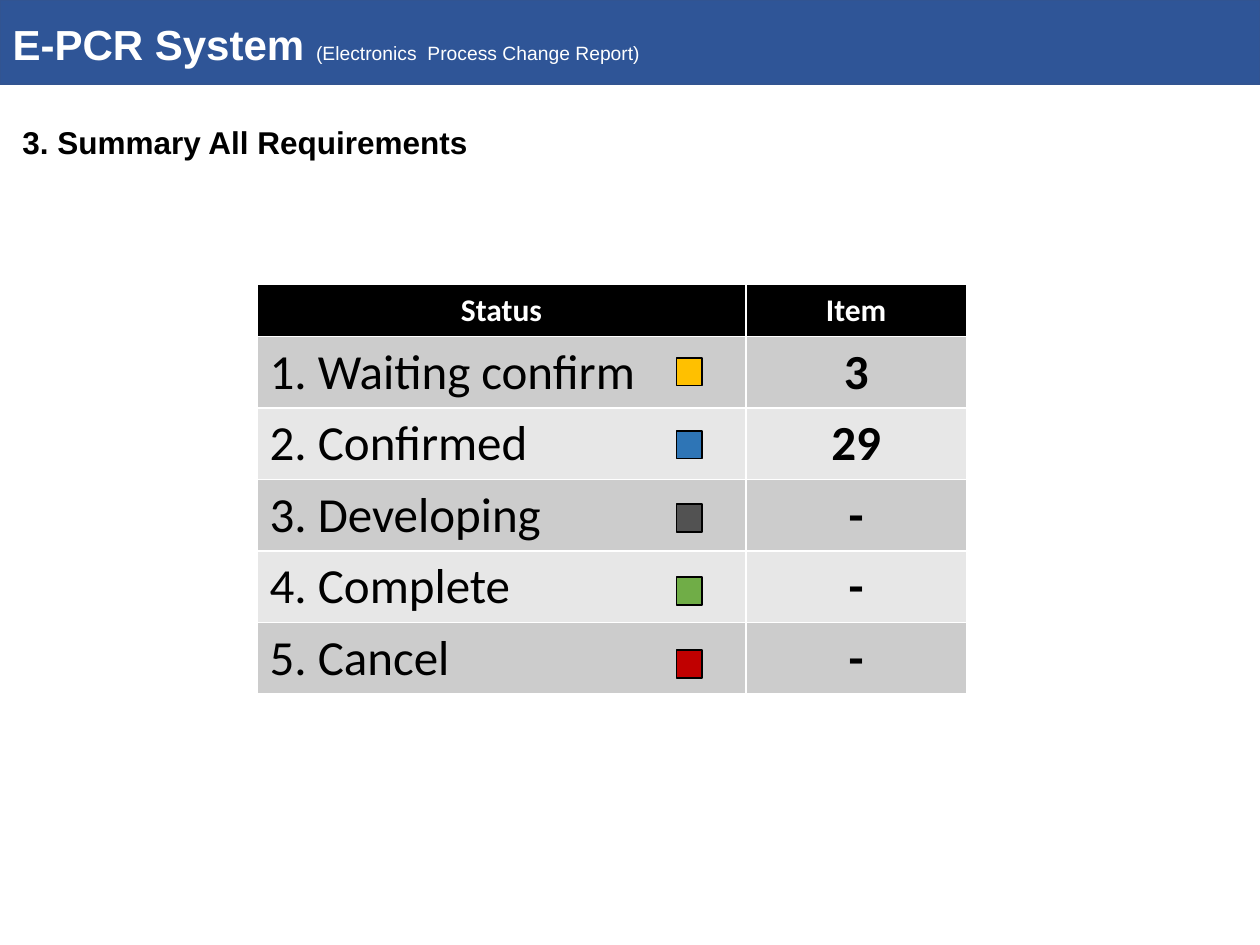
from dataclasses import dataclass
from typing import Any

from pptx import Presentation
from pptx.dml.color import RGBColor as Color
from pptx.enum.shapes import MSO_SHAPE as Shape
from pptx.enum.text import MSO_ANCHOR as Anchor, MSO_AUTO_SIZE as AutoSize, PP_ALIGN as Align
from pptx.util import Inches, Pt

GRID_COLUMNS, GRID_ROWS = 100, 75
SLIDE_WIDTH, SLIDE_HEIGHT = Inches(10), Inches(7.5)
TITLE_ONLY = 5


@dataclass(frozen=True)
class Theme:
    heading_font: str = "Arial"
    table_font: str = "Calibri"
    ink: str = "000000"
    paper: str = "FFFFFF"
    banner: str = "2F5597"
    banner_line: str = "325491"
    bands: tuple[str, str] = ("CCCCCC", "E7E7E7")
    title_size: int = 24
    subtitle_size: int = 11
    heading_size: int = 18
    body_size: int = 28


@dataclass(frozen=True)
class Area:
    column: float
    row: float
    columns: float
    rows: float

    def lengths(self) -> tuple[int, int, int, int]:
        return across(self.column), down(self.row), across(self.columns), down(self.rows)


@dataclass(frozen=True)
class Status:
    label: str
    items: str
    color: str


THEME = Theme()
BANNER = Area(0, 0, 100, 6.7)
TITLE = Area(0, 1, 70.9, 5)
HEADING = Area(0.8, 9.3, 37.7, 4)
TABLE = Area(20.4, 22.6, 56.3, 32.4)
TABLE_COLUMNS = (38.8, 17.5)
HEADER_ROWS, STATUS_ROWS = 4.1, 5.66
SWATCH = Area(53.7, 28.4, 2, 2.2)
SWATCH_STEP = 5.8
STATUSES = (
    Status("1. Waiting confirm", "3", "FFC000"),
    Status("2. Confirmed", "29", "2E75B6"),
    Status("3. Developing", "-", "525252"),
    Status("4. Complete", "-", "70AD47"),
    Status("5. Cancel", "-", "C00000"),
)


def across(columns: float) -> int:
    return round(SLIDE_WIDTH * columns / GRID_COLUMNS)


def down(rows: float) -> int:
    return round(SLIDE_HEIGHT * rows / GRID_ROWS)


def apply(target: Any, values: dict[str, Any]) -> None:
    for name, value in values.items():
        setattr(target, name, value)


def place(shape: Any, area: Area) -> None:
    apply(shape, dict(zip(("left", "top", "width", "height"), area.lengths())))


def add_span(para: Any, text: str, font: str, size: int, color: str, bold: bool) -> None:
    span = para.add_run()
    span.text = text
    apply(span.font, {"name": font, "size": Pt(size), "bold": bold})
    span.font.color.rgb = Color.from_string(color)


def add_box(page: Any, area: Area, fill: str, line: str) -> None:
    box = page.shapes.add_shape(Shape.RECTANGLE, *area.lengths())
    box.shadow.inherit = False
    box.fill.solid()
    box.fill.fore_color.rgb = Color.from_string(fill)
    box.line.color.rgb = Color.from_string(line)
    box.line.width = Pt(1)


def add_banner(page: Any) -> None:
    add_box(page, BANNER, THEME.banner, THEME.banner_line)
    title = page.shapes.title
    place(title, TITLE)
    page.shapes._spTree.append(title._element)
    apply(title.text_frame, {
        "word_wrap": True, "auto_size": AutoSize.NONE, "vertical_anchor": Anchor.TOP,
    })
    para = title.text_frame.paragraphs[0]
    para.alignment = Align.LEFT
    add_span(para, "E-PCR System ", THEME.heading_font, THEME.title_size, THEME.paper, True)
    add_span(para, "(Electronics  Process Change Report)",
             THEME.heading_font, THEME.subtitle_size, THEME.paper, False)


def add_heading(page: Any) -> None:
    box = page.shapes.add_textbox(*HEADING.lengths())
    apply(box.text_frame, {"word_wrap": False, "auto_size": AutoSize.SHAPE_TO_FIT_TEXT})
    add_span(box.text_frame.paragraphs[0], "3. Summary All Requirements",
             THEME.heading_font, THEME.heading_size, THEME.ink, True)


def fill_cell(cell: Any, text: str, fill: str, color: str, size: int,
              bold: bool, align: Align) -> None:
    cell.fill.solid()
    cell.fill.fore_color.rgb = Color.from_string(fill)
    para = cell.text_frame.paragraphs[0]
    para.alignment = align
    add_span(para, text, THEME.table_font, size, color, bold)


def add_status_table(page: Any) -> None:
    table = page.shapes.add_table(
        len(STATUSES) + 1, len(TABLE_COLUMNS), *TABLE.lengths()).table
    for column, width in zip(table.columns, TABLE_COLUMNS):
        column.width = across(width)
    for index, row in enumerate(table.rows):
        row.height = down(STATUS_ROWS if index else HEADER_ROWS)
    for index, text in enumerate(("Status", "Item")):
        fill_cell(table.cell(0, index), text, THEME.ink, THEME.paper,
                  THEME.heading_size, True, Align.CENTER)
    for index, status in enumerate(STATUSES):
        band = THEME.bands[index % 2]
        fill_cell(table.cell(index + 1, 0), status.label, band, THEME.ink,
                  THEME.body_size, False, Align.LEFT)
        fill_cell(table.cell(index + 1, 1), status.items, band, THEME.ink,
                  THEME.body_size, True, Align.CENTER)


def add_swatches(page: Any) -> None:
    for index, status in enumerate(STATUSES):
        area = Area(SWATCH.column, SWATCH.row + index * SWATCH_STEP,
                    SWATCH.columns, SWATCH.rows)
        add_box(page, area, status.color, THEME.ink)


def main() -> None:
    deck = Presentation()
    apply(deck, {"slide_width": SLIDE_WIDTH, "slide_height": SLIDE_HEIGHT})
    page = deck.slides.add_slide(deck.slide_layouts[TITLE_ONLY])
    add_heading(page)
    add_status_table(page)
    add_swatches(page)
    add_banner(page)
    deck.save("out.pptx")


if __name__ == "__main__":
    main()
